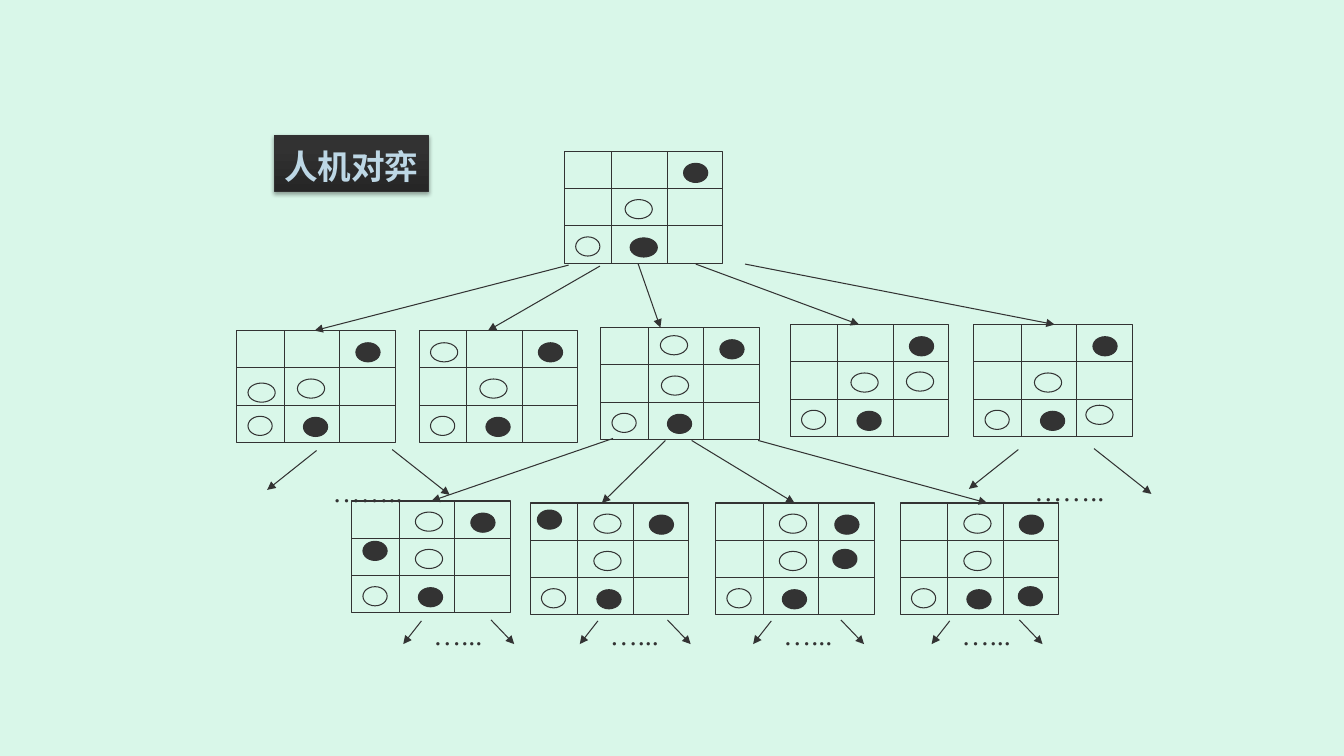
from lxml import etree
from pptx import Presentation
from pptx.dml.color import RGBColor
from pptx.enum.shapes import MSO_CONNECTOR, MSO_SHAPE
from pptx.enum.text import MSO_ANCHOR, MSO_AUTO_SIZE, PP_ALIGN
from pptx.oxml.ns import qn
from pptx.util import Inches, Pt

LINE = MSO_CONNECTOR.STRAIGHT
RECT, OVAL = MSO_SHAPE.RECTANGLE, MSO_SHAPE.OVAL
CENTER, MIDDLE, FIXED = PP_ALIGN.CENTER, MSO_ANCHOR.MIDDLE, MSO_AUTO_SIZE.NONE

COLORS = {"paper": "D9F7E9", "ink": "333333", "dark": "262626",
          "edge": "323232", "title": "BDD7E5"}
FACE = "Times New Roman"

# Board geometry
WIDTH, HEIGHT = 1.57, 1.11
ROWS, COLS = (0.37, 0.74), (0.47, 1.02)

# Board corner, extra stone (fill, dx, dy, width), arrow start and end
REPLIES = [
    ((2.35, 3.28), ("paper", 0.11, 0.52, 0.27), (5.64, 2.63), (3.12, 3.28)),
    ((4.16, 3.28), ("paper", 0.11, 0.12, 0.27), (5.95, 2.64), (4.84, 3.28)),
    ((5.96, 3.25), ("paper", 0.59, 0.08, 0.27), (6.33, 2.62), (6.55, 3.25)),
    ((7.84, 3.22), ("paper", 1.15, 0.47, 0.27), (6.9, 2.62), (8.52, 3.22)),
    ((9.66, 3.22), ("paper", 1.11, 0.8, 0.27), (7.39, 2.62), (10.46, 3.22)),
]
COUNTERS = [
    ((3.49, 4.97), ("ink", 0.11, 0.4, 0.24), (6.08, 4.35), (4.28, 4.97)),
    ((5.26, 4.99), ("ink", 0.07, 0.07, 0.24), (6.6, 4.37), (5.97, 4.99)),
    ((7.1, 4.99), ("ink", 1.16, 0.46, 0.24), (6.86, 4.37), (7.88, 4.99)),
    ((8.93, 4.99), ("ink", 1.17, 0.83, 0.24), (7.52, 4.37), (9.79, 4.99)),
]

# Pair of arrows: left run and drop, gap to the right arrow, its run and drop
WIDE = {"left": (-0.49, 0.39), "gap": 0.75, "right": (0.57, 0.45),
        "text": "……..", "dots": (0.06, 0.19, 0.9)}
SMALL = {"left": (-0.18, 0.23), "gap": 0.69, "right": (0.23, 0.24),
         "text": "…...", "dots": (0.02, -0.08, 0.69)}


def color(name):
    return RGBColor.from_string(COLORS[name])


def style(font, **values):
    for key, value in values.items():
        setattr(font, key, value)


def add_line(slide, start, end, arrow=False):
    line = slide.shapes.add_connector(LINE, *map(Inches, (*start, *end)))
    line.line.color.rgb = color("ink")
    line.line.width = Pt(0.75)
    if arrow:
        etree.SubElement(line.line._get_or_add_ln(), qn("a:tailEnd"), type="triangle")
    etree.SubElement(line._element.spPr, qn("a:effectLst"))


def add_form(slide, kind, box, fill=None):
    form = slide.shapes.add_shape(kind, *map(Inches, box))
    form.shadow.inherit = False
    form.line.color.rgb = color("ink")
    form.line.width = Pt(0.75)
    if fill:
        form.fill.solid()
        form.fill.fore_color.rgb = color(fill)
    else:
        form.fill.background()


def add_board(slide, corner, stones):
    x, y = corner
    add_form(slide, RECT, (x, y, WIDTH, HEIGHT))
    for row in ROWS:
        add_line(slide, (x, y + row), (x + WIDTH, y + row))
    for col in COLS:
        add_line(slide, (x + col, y), (x + col, y + HEIGHT))
    for fill, dx, dy, wide in stones:
        add_form(slide, OVAL, (x + dx, y + dy, wide, 0.19), fill)


def get_stones(mid=0.6, last=(0.66, 0.24)):
    return [("ink", 1.18, 0.12, 0.24), ("paper", mid, 0.48, 0.27),
            ("paper", 0.11, 0.85, 0.24), ("ink", last[0], 0.86, last[1])]


def add_level(slide, nodes, stones):
    for corner, extra, start, end in nodes:
        add_board(slide, corner, stones + [extra])
        add_line(slide, start, end, arrow=True)


def add_fan(slide, x, y, plan):
    for sx, sy, (run, drop) in ((x, y, plan["left"]),
                                (x + plan["gap"], y - 0.01, plan["right"])):
        add_line(slide, (sx, sy), (sx + run, sy + drop), arrow=True)
    dx, dy, wide = plan["dots"]
    box = slide.shapes.add_textbox(*map(Inches, (x + dx, y + dy, wide, 0.43)))
    box.text_frame.word_wrap = False
    box.text_frame.text = plan["text"]
    font = box.text_frame.paragraphs[0].runs[0].font
    style(font, name=FACE, size=Pt(20))
    font.color.rgb = color("ink")


def add_title(slide):
    title = slide.shapes.title
    style(title, left=Inches(2.72), top=Inches(1.34),
          width=Inches(1.53), height=Inches(0.56))
    title.fill.gradient()
    title.fill.gradient_angle = 90
    stops = title.fill.gradient_stops
    for stop, name, place in zip(stops, ("dark", "edge"), (0, 0.8)):
        stop.color.rgb = color(name)
        stop.position = place
    title.line.color.rgb = color("edge")
    title.line.width = Pt(0.75)
    # Soft shadow below the label
    effects = etree.SubElement(title._element.spPr, qn("a:effectLst"))
    shade = etree.SubElement(effects, qn("a:outerShdw"), blurRad=str(Pt(3.1)),
                             dist=str(Pt(1.8)), dir="5400000", rotWithShape="0")
    tint = etree.SubElement(shade, qn("a:srgbClr"), val="000000")
    etree.SubElement(tint, qn("a:alpha"), val="35000")
    frame = title.text_frame
    style(frame, word_wrap=True, auto_size=FIXED, vertical_anchor=MIDDLE,
          margin_left=0, margin_right=0)
    frame.text = "人机对弈"
    para = frame.paragraphs[0]
    style(para, alignment=CENTER, line_spacing=1.15, space_before=Pt(0))
    font = para.runs[0].font
    style(font, name=FACE, size=Pt(24), bold=True)
    font.color.rgb = color("title")


def main():
    deck = Presentation()
    style(deck, slide_width=Inches(13.33), slide_height=Inches(7.5))
    slide = deck.slides.add_slide(deck.slide_layouts[5])
    slide.background.fill.solid()
    slide.background.fill.fore_color.rgb = color("paper")
    add_title(slide)

    # Game tree
    add_board(slide, (5.6, 1.5), get_stones(last=(0.65, 0.27)))
    add_level(slide, REPLIES, get_stones())
    above = ("paper", 0.63, 0.11, 0.27)
    add_level(slide, COUNTERS, get_stones(mid=0.63) + [above])

    # Branches left open
    for x, y in ((3.14, 4.47), (10.1, 4.46)):
        add_fan(slide, x, y, WIDE)
    for x in (4.18, 5.93, 7.65, 9.42):
        add_fan(slide, x, 6.16, SMALL)
    deck.save("out.pptx")


if __name__ == "__main__":
    main()
